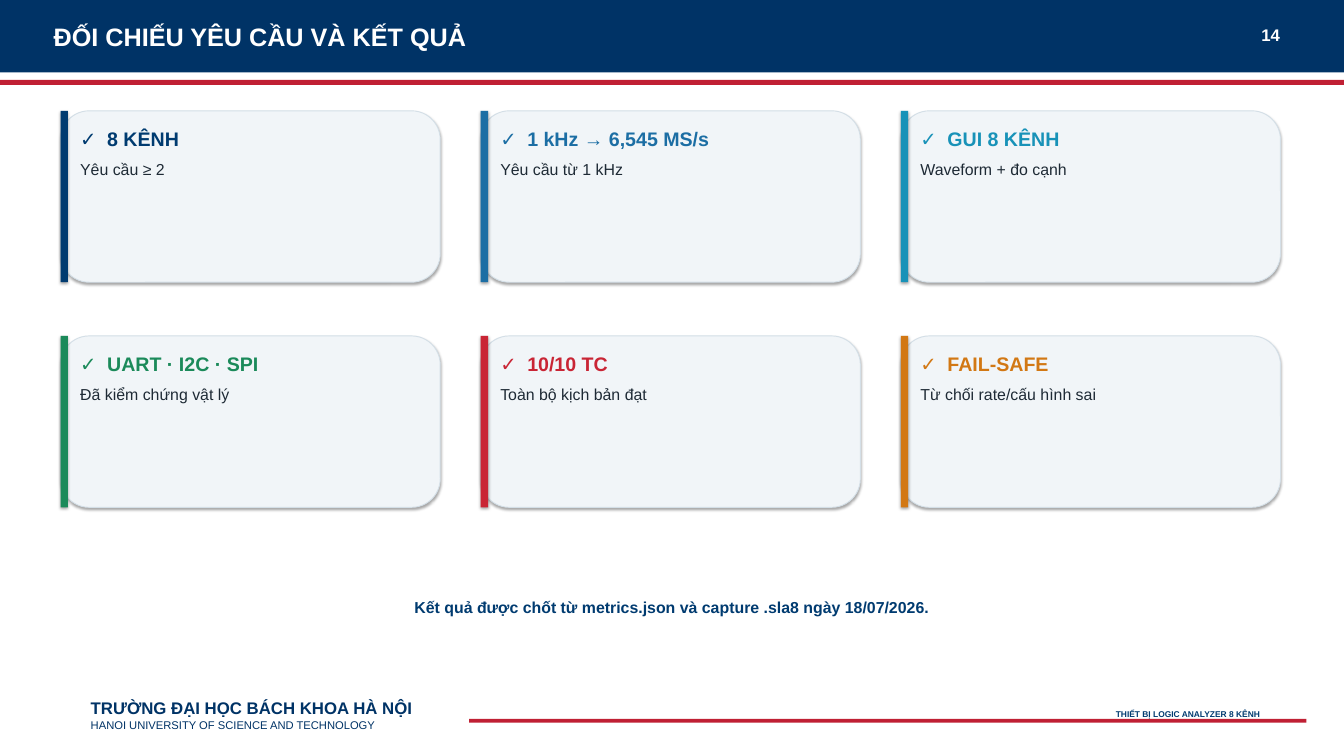
from lxml import etree
from pptx import Presentation
from pptx.dml.color import RGBColor
from pptx.enum.shapes import MSO_SHAPE
from pptx.enum.text import MSO_ANCHOR, PP_ALIGN
from pptx.oxml.ns import qn
from pptx.util import Cm, Pt

RECTANGLE, ROUNDED = MSO_SHAPE.RECTANGLE, MSO_SHAPE.ROUNDED_RECTANGLE
TOP, MIDDLE = MSO_ANCHOR.TOP, MSO_ANCHOR.MIDDLE
LEFT, CENTER, RIGHT = PP_ALIGN.LEFT, PP_ALIGN.CENTER, PP_ALIGN.RIGHT

COLORS = {
    "banner": "003366",
    "rule": "C02034",
    "white": "FFFFFF",
    "card": "F1F5F8",
    "border": "D4DFE7",
    "ink": "1E2A35",
    "navy": "003B70",
    "blue": "1C6EA4",
    "cyan": "1892B8",
    "green": "1B8A5A",
    "red": "C92535",
    "orange": "D27814",
}

CARDS = [
    ("8 KÊNH", "Yêu cầu ≥ 2", "navy"),
    ("1 kHz → 6,545 MS/s", "Yêu cầu từ 1 kHz", "blue"),
    ("GUI 8 KÊNH", "Waveform + đo cạnh", "cyan"),
    ("UART · I2C · SPI", "Đã kiểm chứng vật lý", "green"),
    ("10/10 TC", "Toàn bộ kịch bản đạt", "red"),
    ("FAIL-SAFE", "Từ chối rate/cấu hình sai", "orange"),
]
COLUMNS = 3
CARD_LEFT, CARD_TOP = 2.29, 4.19
CARD_WIDTH, CARD_HEIGHT = 14.35, 6.48
COLUMN_STEP, ROW_STEP = 15.88, 8.51


class SlideBuilder:
    font = "Arial"
    inset = 0.13

    def __init__(self, slide):
        self.slide = slide

    def color(self, name):
        return RGBColor.from_string(COLORS[name])

    def panel(self, left, top, width, height, fill, kind=RECTANGLE, border=None, shadow=False):
        shape = self.slide.shapes.add_shape(kind, Cm(left), Cm(top), Cm(width), Cm(height))
        shape.shadow.inherit = shadow
        shape.fill.solid()
        shape.fill.fore_color.rgb = self.color(fill)
        if border:
            shape.line.color.rgb = self.color(border)
            shape.line.width = Pt(1)
        else:
            shape.line.fill.background()

    def text(self, left, top, width, height, lines, color, align=LEFT, anchor=TOP,
             inset=None, tab=None):
        box = self.slide.shapes.add_textbox(Cm(left), Cm(top), Cm(width), Cm(height))
        frame = box.text_frame
        frame.word_wrap = True
        frame.vertical_anchor = anchor
        margin = Cm(self.inset if inset is None else inset)
        frame.margin_left = frame.margin_right = margin
        frame.margin_top = frame.margin_bottom = margin
        frame.text = "\n".join(line[0] for line in lines)
        for para, (_, size, bold, spacing) in zip(frame.paragraphs, lines):
            para.alignment = align
            if spacing:
                para.line_spacing = Pt(spacing)
            if tab:
                self.tab_stop(para, tab)
            for span in para.runs:
                span.font.name = self.font
                span.font.size = Pt(size)
                span.font.bold = bold
                span.font.color.rgb = self.color(color)

    def tab_stop(self, para, position):
        tabs = etree.SubElement(para._p.get_or_add_pPr(), qn("a:tabLst"))
        etree.SubElement(tabs, qn("a:tab"), pos=str(Cm(position)), algn="l")

    def card(self, left, top, title, detail, accent):
        self.panel(left, top, CARD_WIDTH, CARD_HEIGHT, "card", ROUNDED, "border", shadow=True)
        self.panel(left, top, 0.28, CARD_HEIGHT, accent, shadow=True)
        self.text(left + 0.61, top + 0.46, 13.28, 1.07,
                  [("✓\t" + title, 21, True, None)], accent, tab=1.02)
        self.text(left + 0.61, top + 1.73, 13.28, 4.39, [(detail, 17, False, None)], "ink")


def main():
    deck = Presentation()
    deck.slide_width, deck.slide_height = Cm(50.8), Cm(28.58)
    page = SlideBuilder(deck.slides.add_slide(deck.slide_layouts[6]))

    page.panel(0, 0, 50.85, 2.74, "banner")
    page.panel(0, 3.02, 50.85, 0.19, "rule")
    page.text(3.43, 25.96, 13.72, 2.13, [
        ("TRƯỜNG ĐẠI HỌC BÁCH KHOA HÀ NỘI", 18, True, 21.6),
        ("HANOI UNIVERSITY OF SCIENCE AND TECHNOLOGY", 12, False, 14.4),
    ], "banner", anchor=MIDDLE, inset=0)
    page.panel(17.73, 27.18, 31.65, 0.14, "rule")
    page.text(1.9, 0.69, 42.67, 1.4, [("ĐỐI CHIẾU YÊU CẦU VÀ KẾT QUẢ", 27, True, None)],
              "white", anchor=MIDDLE)
    page.text(45.97, 0.69, 2.54, 1.27, [("14", 18, True, None)], "white", RIGHT, MIDDLE)
    page.text(34.8, 26.67, 12.95, 0.64, [("THIẾT BỊ LOGIC ANALYZER 8 KÊNH", 9, True, None)],
              "navy", RIGHT)

    for index, (title, detail, accent) in enumerate(CARDS):
        row, column = divmod(index, COLUMNS)
        page.card(CARD_LEFT + column * COLUMN_STEP, CARD_TOP + row * ROW_STEP,
                  title, detail, accent)

    page.text(7.62, 22.48, 35.56, 1.27, [
        ("Kết quả được chốt từ metrics.json và capture .sla8 ngày 18/07/2026.", 17, True, None),
    ], "navy", CENTER)

    deck.save("out.pptx")


if __name__ == "__main__":
    main()
